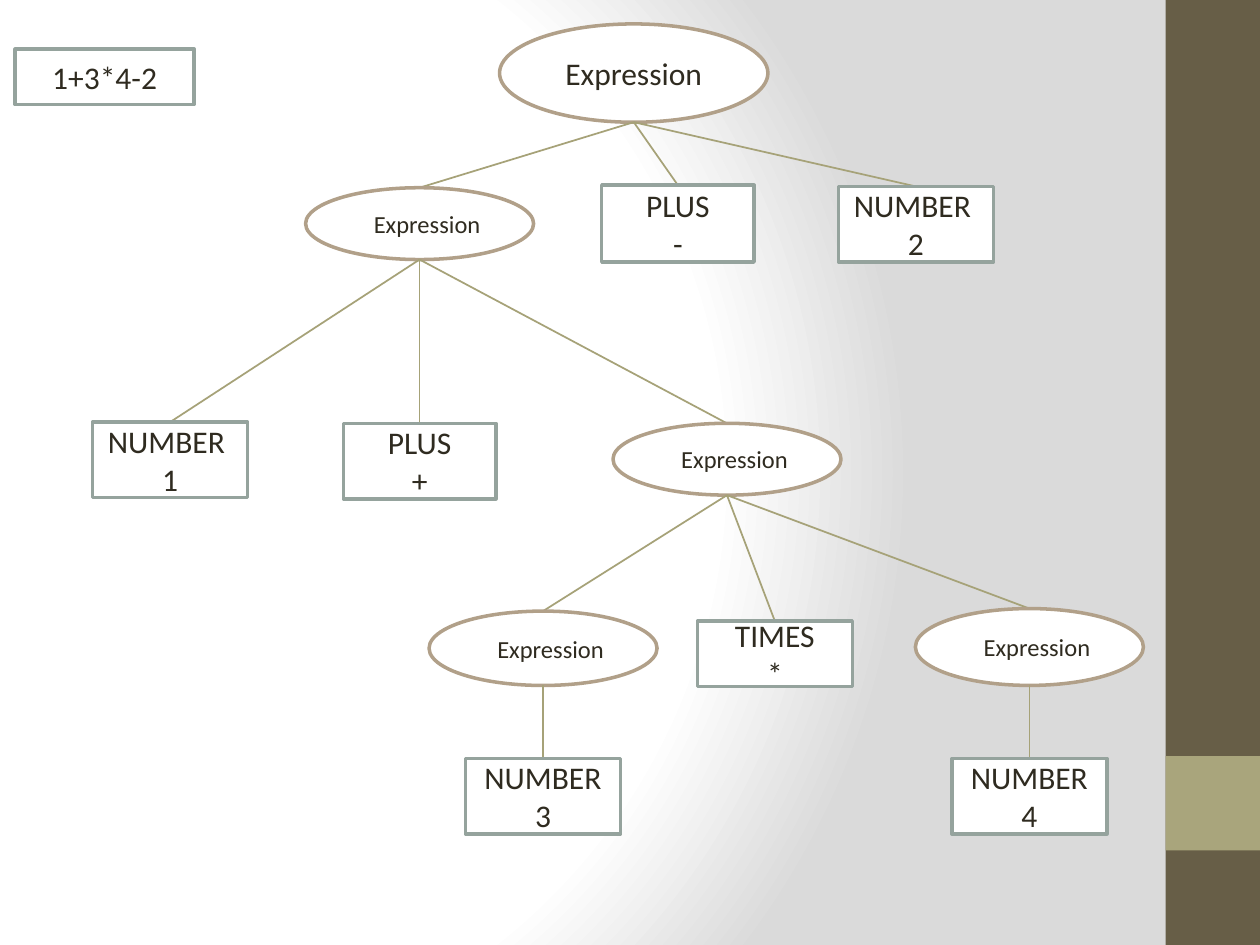
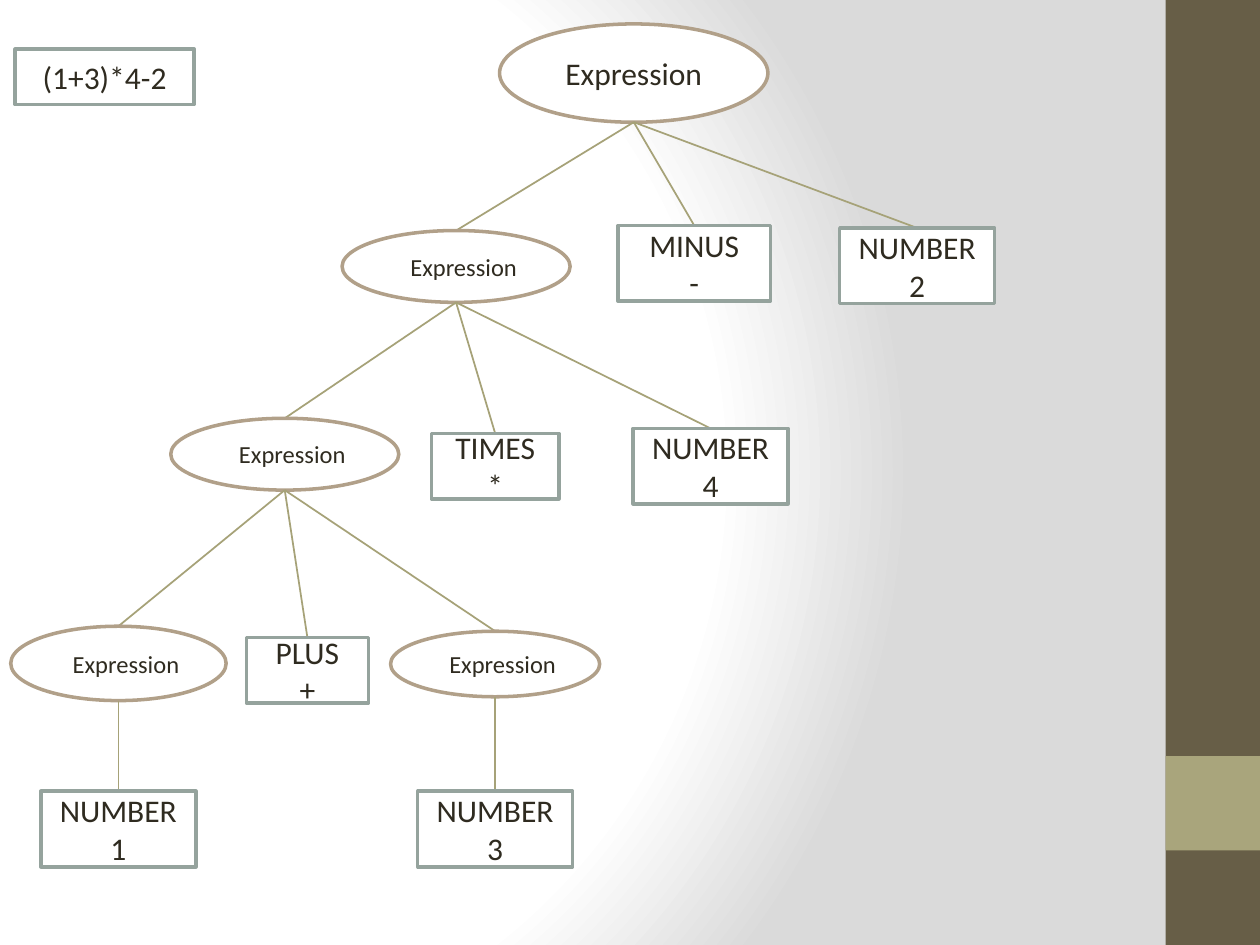
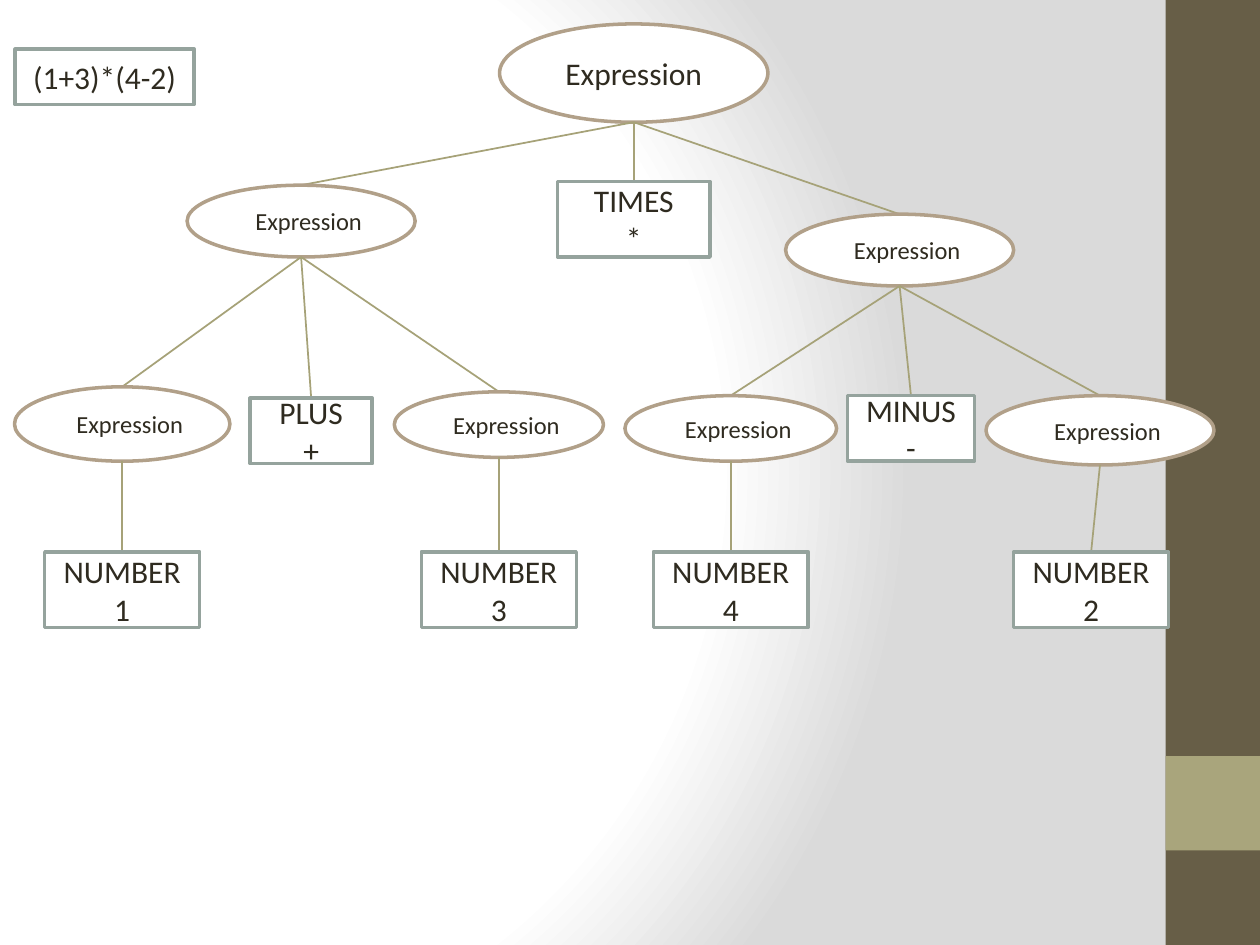
from dataclasses import dataclass

from pptx import Presentation
from pptx.dml.color import RGBColor
from pptx.enum.shapes import MSO_CONNECTOR, MSO_SHAPE
from pptx.enum.text import MSO_ANCHOR, PP_ALIGN
from pptx.oxml import parse_xml
from pptx.oxml.ns import nsdecls
from pptx.util import Inches, Pt


@dataclass(frozen=True)
class Theme:
    """Colours and type sizes shared by all slides."""

    font: str = "Calibri"
    text: str = "2F2B20"
    paper: str = "FFFFFF"
    shade: str = "DADADA"
    band: str = "675E47"
    accent: str = "A9A57C"
    expression_line: str = "B1A089"
    token_line: str = "95A39D"
    branch_line: str = "A6A278"
    large: int = 18
    small: int = 14
    outline: int = 2
    branch: int = 1


THEME = Theme()


@dataclass(frozen=True)
class Node:
    """A tree node placed by its centre line and top edge, in inches."""

    lines: tuple
    center: float
    top: float
    width: float
    height: float
    children: tuple = ()
    oval: bool = False
    size: int = THEME.large

    @property
    def left(self):
        """Return the left edge."""
        return self.center - self.width / 2

    @property
    def bottom(self):
        """Return the bottom edge."""
        return self.top + self.height


def expression(center, top, *children, width=1.81, height=0.57):
    """Describe an inner expression."""
    return Node(("Expression",), center, top, width, height, children, True, THEME.small)


def root(*children):
    """Describe the top expression of a tree."""
    return Node(("Expression",), 5.03, 0.19, 2.13, 0.78, children, True)


def token(name, symbol, center, top, width=1.23, height=0.6):
    """Describe a token with its name above its symbol."""
    return Node((name, symbol), center, top, width, height)


def apply_format(target, values):
    """Set every attribute in a dict of format values."""
    for name, value in values.items():
        setattr(target, name, value)


def color(value):
    """Turn a hex value into a colour."""
    return RGBColor.from_string(value)


def add_block(slide, kind, box, fill, line=None):
    """Add a filled shape with an optional outline."""
    shape = slide.shapes.add_shape(kind, *map(Inches, box))
    shape.shadow.inherit = False
    shape.fill.solid()
    shape.fill.fore_color.rgb = color(fill)
    if line:
        shape.line.color.rgb = color(line)
        shape.line.width = Pt(THEME.outline)
    else:
        shape.line.fill.background()
    return shape


def write_lines(shape, lines, size):
    """Write one centred paragraph for each line of text."""
    frame = shape.text_frame
    apply_format(frame, {"word_wrap": True, "vertical_anchor": MSO_ANCHOR.MIDDLE})
    frame.text = "\n".join(lines)
    for paragraph in frame.paragraphs:
        paragraph.alignment = PP_ALIGN.CENTER
        font = paragraph.runs[0].font
        apply_format(font, {"name": THEME.font, "size": Pt(size)})
        font.color.rgb = color(THEME.text)


def indent_expression(shape):
    """Indent the text of an inner expression."""
    paragraph = shape.text_frame.paragraphs[0]
    paragraph.space_before = Pt(0.2 * THEME.small)
    properties = paragraph._p.get_or_add_pPr()
    for name, value in {"marL": Inches(0.12), "indent": 0}.items():
        properties.set(name, str(value))


def add_branch(slide, parent, child):
    """Draw a line from the foot of a parent to the top of its child."""
    ends = (parent.center, parent.bottom, child.center, child.top)
    connector = slide.shapes.add_connector(MSO_CONNECTOR.STRAIGHT, *map(Inches, ends))
    connector.line.color.rgb = color(THEME.branch_line)
    connector.line.width = Pt(THEME.branch)
    effects = parse_xml(f"<a:effectLst {nsdecls('a')}/>")
    connector.element.spPr.append(effects)


def add_tree(slide, node):
    """Draw a node and everything below it."""
    kind = MSO_SHAPE.OVAL if node.oval else MSO_SHAPE.RECTANGLE
    line = THEME.expression_line if node.oval else THEME.token_line
    box = (node.left, node.top, node.width, node.height)
    shape = add_block(slide, kind, box, THEME.paper, line)
    write_lines(shape, node.lines, node.size)
    if node.size == THEME.small:
        indent_expression(shape)
    for child in node.children:
        add_branch(slide, node, child)
        add_tree(slide, child)


def set_background(master):
    """Give the master its circular gradient."""
    master.background.fill.gradient()
    stops = ((0, THEME.paper), (75, THEME.paper), (100, THEME.shade))
    stop_list = "".join(
        f'<a:gs pos="{position * 1000}"><a:srgbClr val="{value}"/></a:gs>'
        for position, value in stops
    )
    gradient = parse_xml(
        f'<a:gradFill {nsdecls("a")} rotWithShape="1"><a:gsLst>{stop_list}</a:gsLst>'
        '<a:path path="circle">'
        '<a:fillToRect l="20000" t="50000" r="100000" b="50000"/>'
        "</a:path></a:gradFill>"
    )
    current = master.element.xpath("./p:cSld/p:bg/p:bgPr/a:gradFill")[0]
    current.getparent().replace(current, gradient)


def add_master_bands(master, slide):
    """Build the side bands and move them to the master."""
    bands = ((0, 7.5, THEME.band), (6, 0.75, THEME.accent))
    shapes = [
        add_block(slide, MSO_SHAPE.RECTANGLE, (9.25, top, 0.75, height), fill)
        for top, height, fill in bands
    ]
    for number, shape in enumerate(shapes, 101):
        shape.element.xpath("./p:nvSpPr/p:cNvPr")[0].set("id", str(number))
        master.shapes.element.append(shape.element)


def add_formula(slide, formula):
    """Show the parsed formula in the top left corner."""
    box = (0.12, 0.39, 1.42, 0.44)
    shape = add_block(slide, MSO_SHAPE.RECTANGLE, box, THEME.paper, THEME.token_line)
    write_lines(shape, (formula,), THEME.large)


def sum_branch(center, top, left, right, row):
    """Describe the bracketed sum 1+3 with its row of operands."""
    return expression(
        center, top,
        expression(left, row, token("NUMBER", "1", left, row + 1.31), width=1.71, height=0.59),
        token("PLUS", "+", left + 1.5, row + 0.09, 0.97, 0.52),
        expression(right, row + 0.04, token("NUMBER", "3", right, row + 1.31),
                   width=1.66, height=0.52),
    )


def product_first_tree():
    """Describe the tree of 1+3*4-2."""
    product = expression(
        5.77, 3.36,
        expression(4.31, 4.85, token("NUMBER", "3", 4.31, 6.02), height=0.59),
        token("TIMES", "*", 6.15, 4.93, height=0.52),
        expression(8.17, 4.83, token("NUMBER", "4", 8.17, 6.02), height=0.61),
    )
    total = expression(
        3.33, 1.49,
        token("NUMBER ", "1", 1.35, 3.35),
        token("PLUS", "+", 3.33, 3.36, 1.21),
        product,
    )
    return root(
        total,
        token("PLUS", "-", 5.38, 1.47, 1.21, 0.61),
        token("NUMBER ", "2", 7.27, 1.48),
    )


def sum_first_tree():
    """Describe the tree of (1+3)*4-2."""
    product = expression(
        3.62, 1.83,
        sum_branch(2.26, 3.32, 0.94, 3.93, 4.97),
        token("TIMES", "*", 3.93, 3.44, 1.01, 0.52),
        token("NUMBER", "4", 5.64, 3.4),
    )
    return root(
        product,
        token("MINUS", "-", 5.51, 1.79, 1.21),
        token("NUMBER", "2", 7.28, 1.81),
    )


def two_brackets_tree():
    """Describe the tree of (1+3)*(4-2)."""
    difference = expression(
        7.14, 1.7,
        expression(5.8, 3.14, token("NUMBER", "4", 5.8, 4.38), width=1.68, height=0.52),
        token("MINUS", "-", 7.23, 3.14, 1.01, 0.52),
        expression(8.73, 3.14, token("NUMBER", "2", 8.66, 4.38), height=0.55),
    )
    return root(
        sum_branch(2.39, 1.47, 0.97, 3.96, 3.07),
        token("TIMES", "*", 5.03, 1.44, 1.21),
        difference,
    )


def main():
    """Build the three parse tree slides."""
    presentation = Presentation()
    size = {"slide_width": Inches(10), "slide_height": Inches(7.5)}
    apply_format(presentation, size)
    master = presentation.slide_master
    set_background(master)
    trees = {
        "1+3*4-2": product_first_tree(),
        "(1+3)*4-2": sum_first_tree(),
        "(1+3)*(4-2)": two_brackets_tree(),
    }
    slides = [presentation.slides.add_slide(presentation.slide_layouts[6]) for _ in trees]
    add_master_bands(master, slides[0])
    for slide, (formula, tree) in zip(slides, trees.items()):
        add_tree(slide, tree)
        add_formula(slide, formula)
    presentation.save("out.pptx")


main()
